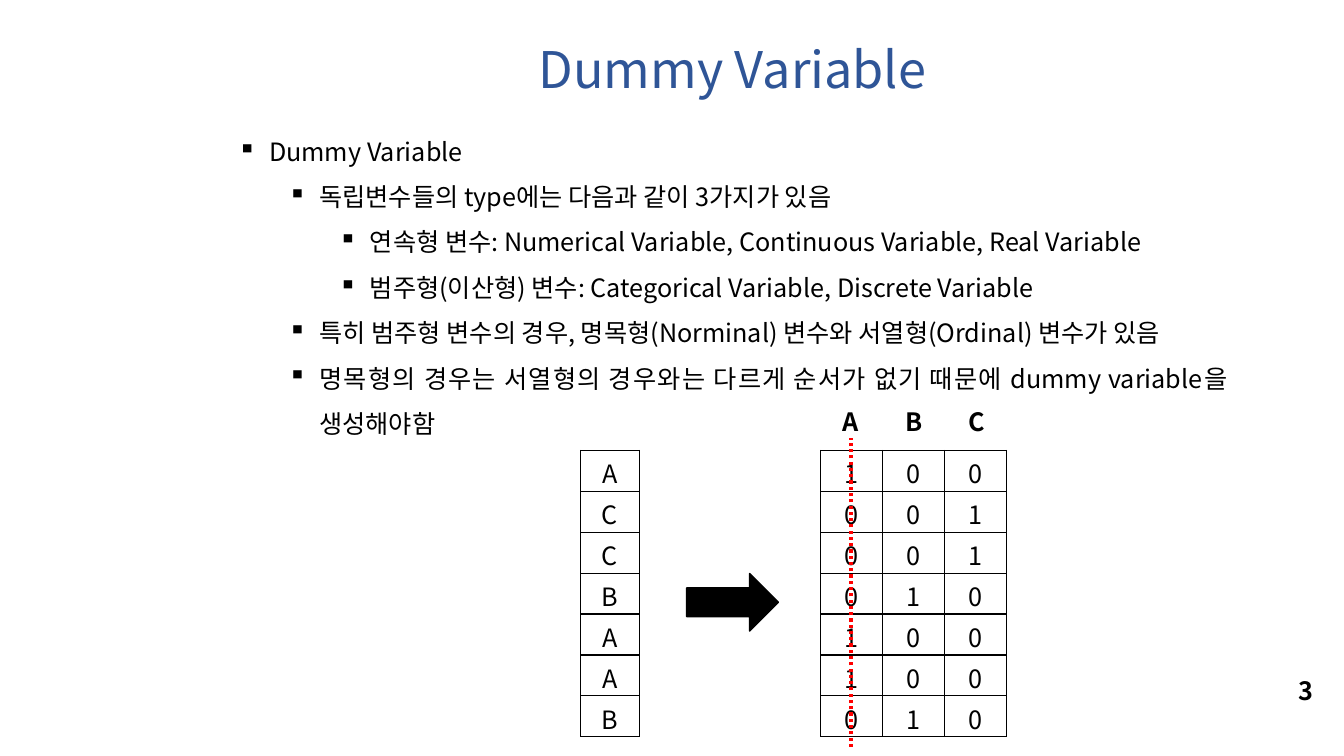
from lxml import etree
from pptx import Presentation
from pptx import util as u
from pptx.dml.color import RGBColor
from pptx.enum import dml, shapes, text
from pptx.oxml.ns import qn

BLACK = RGBColor(0, 0, 0)
WHITE = RGBColor(255, 255, 255)
BLUE = RGBColor(0x2F, 0x55, 0x97)
RED = RGBColor(255, 0, 0)
FONT = "Noto Sans CJK KR"

prs = Presentation()
prs.slide_width, prs.slide_height = u.Inches(13.33), u.Inches(7.5)
s = prs.slides.add_slide(prs.slide_layouts[6])


def write(p, words, size=18, color=BLACK, bold=False, align=text.PP_ALIGN.CENTER):
    p.text, p.alignment = words, align
    f = p.font
    f.name, f.size, f.bold, f.color.rgb = FONT, u.Pt(size), bold, color
    etree.SubElement(f._element, qn("a:ea"), typeface=FONT)


def add_box(x, y, w, h, fill=None):
    sp = s.shapes.add_textbox(u.Inches(x), u.Inches(y), u.Inches(w), u.Inches(h))
    if fill is not None:
        sp.fill.solid()
        sp.fill.fore_color.rgb = fill
    sp.text_frame.word_wrap = True
    return sp.text_frame


# Page number and title
write(add_box(12.69, 6.65, 0.53, 0.4).paragraphs[0], "3", bold=True)
write(add_box(2.56, 0.33, 9.41, 0.71, WHITE).paragraphs[0], "Dummy Variable", 36, BLUE)

# Bulleted text: level and wording
bullets = [
    (0, "Dummy Variable"),
    (1, "독립변수들의 type에는 다음과 같이 3가지가 있음"),
    (2, "연속형 변수: Numerical Variable, Continuous Variable, Real Variable"),
    (2, "범주형(이산형) 변수: Categorical Variable, Discrete Variable"),
    (1, "특히 범주형 변수의 경우, 명목형(Norminal) 변수와 서열형(Ordinal) 변수가 있음"),
    (1, "명목형의 경우는 서열형의 경우와는 다르게 순서가 없기 때문에 dummy variable을 생성해야함"),
]
tf = add_box(2.26, 1.15, 10.01, 3.28, WHITE)
for i, (level, words) in enumerate(bullets):
    p = tf.add_paragraph() if i else tf.paragraphs[0]
    write(p, words, align=text.PP_ALIGN.JUSTIFY)
    p.level, p.line_spacing = level, 1.5
    pPr = p._p.get_or_add_pPr()
    pPr.set("marL", str(u.Inches(0.31 + 0.5 * level)))
    pPr.set("indent", str(u.Inches(-0.31)))
    bullet = etree.Element(qn("a:buChar"), char="▪")
    pPr.find(qn("a:defRPr")).addprevious(bullet)

# Category column and its dummy coding
TOP, ROW, COL = 4.47, 2.84 / 7, 0.615
LEFT = 8.14
categories = "ACCBAAB"
coded = [[str(int(c == name)) for name in "ABC"] for c in categories]
for x, col_width, rows in ((5.76, 0.58, list(categories)), (LEFT, COL, coded)):
    n = len(rows[0])
    frame = s.shapes.add_table(len(rows), n, u.Inches(x), u.Inches(TOP),
                               u.Inches(col_width * n), u.Inches(ROW * len(rows)))
    table = frame.table
    table.first_row = table.horz_banding = False
    for col in table.columns:
        col.width = u.Inches(col_width)
    for r, row in enumerate(rows):
        table.rows[r].height = u.Inches(ROW)
        for c, value in enumerate(row):
            cell = table.cell(r, c)
            cell.margin_top, cell.margin_bottom = u.Inches(0.04), 0
            write(cell.text_frame.paragraphs[0], value)
            tcPr = cell._tc.get_or_add_tcPr()
            for side in ("lnL", "lnR", "lnT", "lnB"):
                ln = etree.SubElement(tcPr, qn("a:" + side), w=str(u.Pt(1)))
                fill = etree.SubElement(ln, qn("a:solidFill"))
                etree.SubElement(fill, qn("a:srgbClr"), val=str(BLACK))
            cell.fill.background()

# Arrow between the tables
sp = s.shapes.add_shape(shapes.MSO_SHAPE.RIGHT_ARROW, u.Inches(6.81), u.Inches(5.69),
                        u.Inches(0.91), u.Inches(0.57))
sp.shadow.inherit = False
sp.fill.solid()
sp.fill.fore_color.rgb = sp.line.color.rgb = BLACK
sp.line.width = u.Pt(1)

# Column headings
for i, name in enumerate("ABC"):
    tf = add_box(LEFT + 0.05 + i * 0.625, 3.98, 0.5, 0.4)
    write(tf.paragraphs[0], name, bold=True)

# Dotted line through the dropped column
line = s.shapes.add_connector(shapes.MSO_CONNECTOR.STRAIGHT, u.Inches(8.44), u.Inches(7.41),
                              u.Inches(8.44), u.Inches(4.35))
line.line.color.rgb, line.line.width = RED, u.Pt(2.25)
line.line.dash_style = dml.MSO_LINE.ROUND_DOT
etree.SubElement(line._element.spPr, qn("a:effectLst"))

prs.save("out.pptx")
